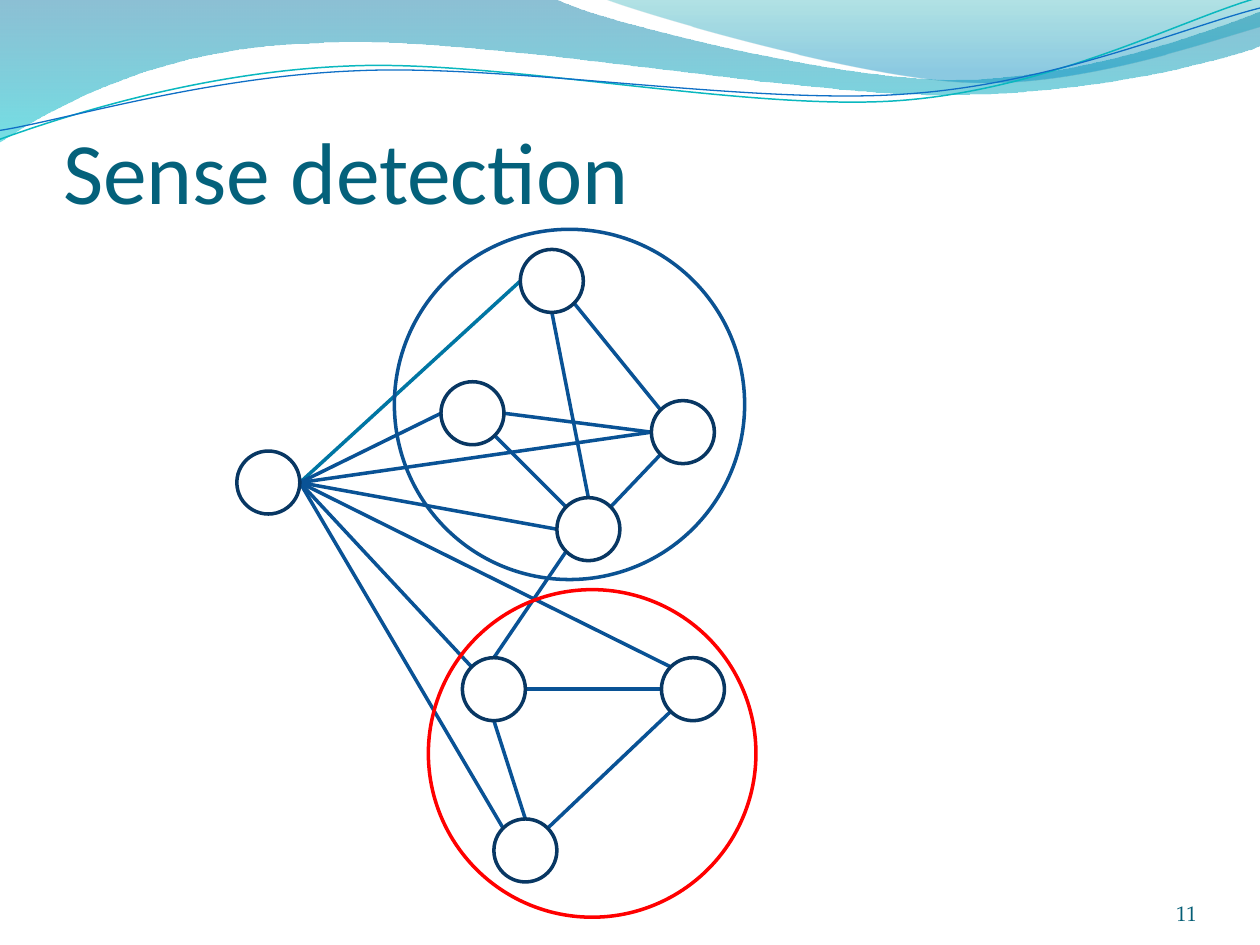
from math import cos, radians, sin

from lxml import etree
from pptx import Presentation
from pptx.dml.color import RGBColor
from pptx.enum.shapes import MSO_CONNECTOR, MSO_SHAPE
from pptx.enum.text import MSO_ANCHOR, MSO_AUTO_SIZE, PP_ALIGN
from pptx.oxml.ns import qn
from pptx.util import Pt

STRAIGHT, OVAL = MSO_CONNECTOR.STRAIGHT, MSO_SHAPE.OVAL
BOTTOM, NO_AUTOFIT = MSO_ANCHOR.BOTTOM, MSO_AUTO_SIZE.NONE
LEFT, RIGHT = PP_ALIGN.LEFT, PP_ALIGN.RIGHT

PX = 9144  # 100 px to the inch
TITLE_TEAL = RGBColor(0x04, 0x61, 0x7B)
NUMBER_TEAL = RGBColor(0x04, 0x5D, 0x75)
NODE_NAVY = RGBColor(0x08, 0x37, 0x63)
EDGE_BLUE = RGBColor(0x09, 0x52, 0x95)
FIRST_EDGE_BLUE = RGBColor(0x00, 0x76, 0xA3)
SENSE_BLUE = RGBColor(0x0B, 0x52, 0x92)
SENSE_RED = RGBColor(0xFF, 0x00, 0x00)
WAVE_BLUE = RGBColor(0x00, 0x74, 0xA1)
WAVE_CYAN = RGBColor(0x00, 0xC6, 0xCF)
CREST_TEAL = RGBColor(0x00, 0xA1, 0xA9)
CREST_BLUE = RGBColor(0x00, 0x8B, 0xBF)
RIPPLE_TEAL = RGBColor(0x0A, 0xB8, 0xBF)
RIPPLE_BLUE = RGBColor(0x0F, 0x6F, 0xC6)

prs = Presentation()
prs.slide_width, prs.slide_height = 1000 * PX, 750 * PX
slide = prs.slides.add_slide(prs.slide_layouts[5])
shapes = slide.shapes


def add_curve(pieces, closed):
    """Draw pieces of 2 values (a straight line) or 6 (a Bezier curve)."""
    points = [piece[i:i + 2] for piece in pieces for i in range(0, len(piece), 2)]
    builder = shapes.build_freeform(*points[0], scale=PX)
    builder.add_line_segments(points[1:], close=closed)
    curve = builder.convert_to_shape()
    curve.shadow.inherit = False
    # Merge each run of three line segments that stands for a Bezier curve
    segments = iter(list(curve._element.iter(qn("a:lnTo"))))
    for piece in pieces[1:]:
        segment = next(segments)
        if len(piece) == 6:
            bezier = etree.Element(qn("a:cubicBezTo"))
            segment.addprevious(bezier)
            for part in (segment, next(segments), next(segments)):
                bezier.append(part[0])
                part.getparent().remove(part)
    return curve


def add_ring(center_x, center_y, radius, color):
    ring = shapes.add_shape(OVAL, (center_x - radius) * PX, (center_y - radius) * PX,
                            2 * radius * PX, 2 * radius * PX)
    ring.shadow.inherit = False
    ring.fill.background()
    ring.line.color.rgb = color
    ring.line.width = Pt(2)


# Wave bands: outline, then (position, colour, opacity in percent) from top to bottom
bands = [
    ([(0, 0), (440, -1), (476, 17, 664, 63, 758, 63), (853, 63, 958, 26, 1000, 9),
      (1001, 36), (983, 44, 870, 76, 746, 75), (622, 75, 382, 28, 257, 34),
      (129, 36, 46, 83, -1, 113), (0, 0)],
     [(0, WAVE_BLUE, 45), (1, WAVE_CYAN, 55)]),
    ([(479, -1), (509, 11, 682, 62, 769, 65), (856, 69, 961, 32, 1000, 21),
      (1000, 0), (479, -1)],
     [(0, CREST_TEAL, 30), (0.8, CREST_BLUE, 45)]),
]
for outline, stops in bands:
    band = add_curve(outline, True)
    band.line.fill.background()
    band.fill.gradient()
    band.fill.gradient_angle = 270
    for stop, (position, color, _) in zip(band.fill.gradient_stops, stops):
        stop.position = position
        stop.color.rgb = color
    for rgb, (_, _, opacity) in zip(band._element.spPr.iter(qn("a:srgbClr")), stops):
        etree.SubElement(rgb, qn("a:alpha")).set("val", str(opacity * 1000))

# Ripple lines, tilted slightly upwards to the right
ripples = [
    ([(-2, 87), (47, 72, 158, 41, 277, 42), (396, 42, 591, 93, 712, 90),
      (832, 87, 940, 36, 1000, 22)], RIPPLE_TEAL, 0.85),
    ([(-2, 80), (46, 75, 164, 45, 283, 46), (403, 46, 596, 88, 716, 85),
      (835, 83, 942, 42, 1002, 30)], RIPPLE_BLUE, 0.75),
]
for route, color, width in ripples:
    ripple = add_curve(route, False)
    ripple.rotation = 357.3
    ripple.fill.background()
    ripple.line.color.rgb = color
    ripple.line.width = Pt(width)

# Title
title = shapes.title
title.left, title.top, title.width, title.height = 50 * PX, 25 * PX, 900 * PX, 151 * PX
title_frame = title.text_frame
title_frame.text = "Sense detection"
title_frame.auto_size = NO_AUTOFIT
title_frame.vertical_anchor = BOTTOM
title_frame.margin_left = title_frame.margin_right = title_frame.margin_bottom = 0
title_frame.margin_top = 5 * PX
heading = title_frame.paragraphs[0]
heading.alignment = LEFT
heading.font.name, heading.font.size = "Calibri", Pt(50)
heading.font.color.rgb = TITLE_TEAL

# Graph: node centres, and edges between compass points on the node rims
NODE_RADIUS = 25
nodes = {
    "word": (213, 383),
    "a1": (438, 223), "a2": (375, 328), "a3": (542, 343), "a4": (467, 420),
    "b1": (392, 547), "b2": (550, 547), "b3": (417, 675),
}
compass = {name: radians(45 * i)
           for i, name in enumerate(["E", "SE", "S", "SW", "W", "NW", "N", "NE"])}
edges = [
    ("word", "E", "a1", "W"), ("word", "E", "a2", "W"), ("word", "E", "a3", "W"),
    ("word", "E", "a4", "W"), ("word", "E", "b2", "NW"), ("word", "E", "b1", "NW"),
    ("word", "E", "b3", "NW"),
    ("a2", "E", "a3", "W"), ("a2", "SE", "a4", "NW"), ("a4", "NE", "a3", "SW"),
    ("a1", "SE", "a3", "NW"), ("a1", "S", "a4", "N"), ("a4", "SW", "b1", "N"),
    ("b1", "S", "b3", "N"), ("b3", "NE", "b2", "SW"), ("b1", "E", "b2", "W"),
]
for start, start_side, end, end_side in edges:
    ends = []
    for node, side in ((start, start_side), (end, end_side)):
        x, y = nodes[node]
        ends += [round((x + NODE_RADIUS * cos(compass[side])) * PX),
                 round((y + NODE_RADIUS * sin(compass[side])) * PX)]
    edge = shapes.add_connector(STRAIGHT, *ends)
    edge.line.color.rgb = FIRST_EDGE_BLUE if end == "a1" else EDGE_BLUE
    edge.line.width = Pt(2)
    etree.SubElement(edge._element.spPr, qn("a:effectLst"))

# Circles around the two senses, then the nodes
add_ring(452, 321, 139, SENSE_BLUE)
add_ring(470, 598, 130, SENSE_RED)
for x, y in nodes.values():
    add_ring(x, y, NODE_RADIUS, NODE_NAVY)

# Slide number
number_frame = shapes.add_textbox(867 * PX, 695 * PX, 83 * PX, 40 * PX).text_frame
number_frame.word_wrap = True
number_frame.vertical_anchor = BOTTOM
number_frame.margin_left = number_frame.margin_right = 0
number_frame.margin_top = number_frame.margin_bottom = 0
number_frame.text = "11"
number = number_frame.paragraphs[0]
number.alignment = RIGHT
number.font.name, number.font.size = "TeX Gyre Pagella", Pt(12)
number.font.color.rgb = NUMBER_TEAL

prs.save("out.pptx")
